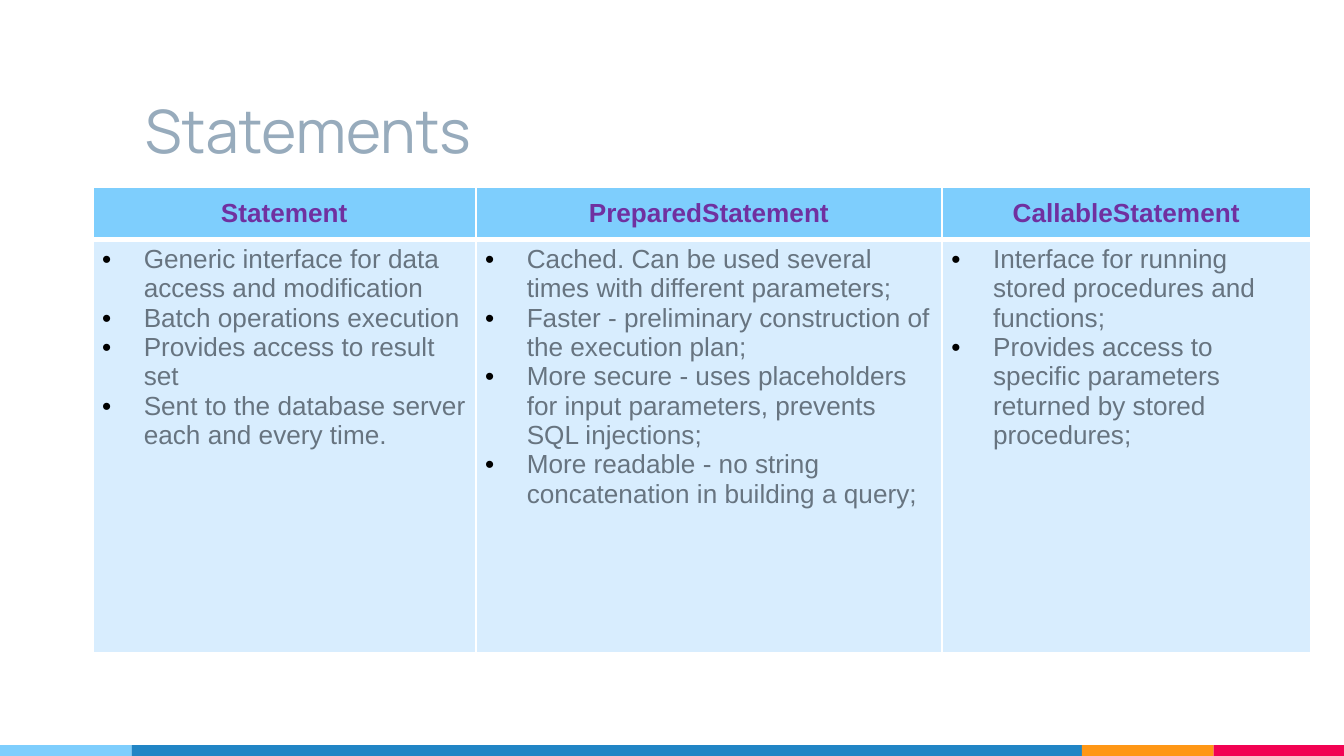
from dataclasses import dataclass

from lxml import etree
from pptx import Presentation
from pptx.dml.color import RGBColor
from pptx.enum.shapes import MSO_SHAPE
from pptx.enum.text import MSO_ANCHOR, PP_ALIGN
from pptx.oxml.ns import qn
from pptx.util import Inches, Pt

RECT = MSO_SHAPE.RECTANGLE
TOP, MIDDLE, BOTTOM = MSO_ANCHOR.TOP, MSO_ANCHOR.MIDDLE, MSO_ANCHOR.BOTTOM
CENTER = PP_ALIGN.CENTER

COLORS = {
    "sky": "7ECEFD", "blue": "2185C5", "orange": "FF9715", "red": "F20253",
    "title": "97ABBC", "header": "7030A0", "body": "677480",
    "pale": "D8EDFE", "white": "FFFFFF", "bullet": "000000",
}
TITLE = {"name": "Manrope", "size": Pt(32), "color": "title"}
HEADER = {"name": "Arial", "size": Pt(14), "bold": True, "color": "header"}
BODY = {"name": "Arial", "size": Pt(14), "bold": False, "color": "body"}
CELL_MARGINS = {"margin_left": Inches(0.07), "margin_right": Inches(0.07),
                "margin_top": Inches(0.04), "margin_bottom": Inches(0.04)}
INDENT = Inches(0.31)
SLIDE_WIDTH = Inches(10)
SLIDE_HEIGHT = SLIDE_WIDTH * 9 // 16


@dataclass
class Column:
    header: str
    width: float
    points: list[str]


@dataclass
class Band:
    width: float
    color: str


COLUMNS = [
    Column("Statement", 2.85, [
        "Generic interface for data access and modification",
        "Batch operations execution",
        "Provides access to result set",
        "Sent to the database server each and every time.",
    ]),
    Column("PreparedStatement", 3.47, [
        "Cached. Can be used several times with different parameters;",
        "Faster - preliminary construction of the execution plan;",
        "More secure - uses placeholders for input parameters, prevents SQL injections;",
        "More readable - no string concatenation in building a query;",
    ]),
    Column("CallableStatement", 2.74, [
        "Interface for running stored procedures and functions;",
        "Provides access to specific parameters returned by stored procedures;",
    ]),
]
ROW_HEIGHTS = [0.39, 3.08]
BANDS = [Band(0.98, "sky"), Band(7.07, "blue"), Band(0.98, "orange"), Band(0.97, "red")]


def rgb(key: str) -> RGBColor:
    return RGBColor.from_string(COLORS[key])


def add_run(p, text: str, style: dict) -> None:
    r = p.add_run()
    r.text = text
    for name, value in style.items():
        if name == "color":
            r.font.color.rgb = rgb(value)
        else:
            setattr(r.font, name, value)


def add_bullet(p) -> None:
    pPr = p._p.get_or_add_pPr()
    pPr.set("marL", str(INDENT))
    pPr.set("indent", str(-INDENT))
    color = etree.SubElement(pPr, qn("a:buClr"))
    etree.SubElement(color, qn("a:srgbClr"), val=COLORS["bullet"])
    etree.SubElement(pPr, qn("a:buFont"), typeface="Arial")
    etree.SubElement(pPr, qn("a:buChar"), char="•")


def style_cell(cell, fill: str, anchor, bottom: int) -> None:
    """Set margins, white borders (widths in points) and fill."""
    for name, value in CELL_MARGINS.items():
        setattr(cell, name, value)
    cell.vertical_anchor = anchor
    tcPr = cell._tc.get_or_add_tcPr()
    for side, width in {"L": 1, "R": 1, "T": 1, "B": bottom}.items():
        line = etree.SubElement(tcPr, qn(f"a:ln{side}"), w=str(Pt(width)))
        solid = etree.SubElement(line, qn("a:solidFill"))
        etree.SubElement(solid, qn("a:srgbClr"), val=COLORS["white"])
    cell.fill.solid()
    cell.fill.fore_color.rgb = rgb(fill)


def add_bands(s, bands: list[Band]) -> None:
    left = 0.0
    height = Inches(0.08)
    for band in bands:
        sp = s.shapes.add_shape(RECT, Inches(left), SLIDE_HEIGHT - height,
                                Inches(band.width), height)
        sp.shadow.inherit = False
        sp.fill.solid()
        sp.fill.fore_color.rgb = rgb(band.color)
        sp.line.fill.background()
        left += band.width


def add_title(s, text: str) -> None:
    sp = s.shapes.add_textbox(Inches(0.98), Inches(0.39), Inches(7.07), Inches(0.94))
    tf = sp.text_frame
    tf.word_wrap = True
    tf.vertical_anchor = BOTTOM
    for side in ("left", "top", "right", "bottom"):
        setattr(tf, f"margin_{side}", Inches(0.1))
    add_run(tf.paragraphs[0], text, TITLE)


def add_comparison(s, columns: list[Column]) -> None:
    width = sum(column.width for column in columns)
    table = s.shapes.add_table(len(ROW_HEIGHTS), len(columns), Inches(0.69), Inches(1.39),
                               Inches(width), Inches(sum(ROW_HEIGHTS))).table
    for row, height in zip(table.rows, ROW_HEIGHTS):
        row.height = Inches(height)
    for i, column in enumerate(columns):
        table.columns[i].width = Inches(column.width)
        head, body = table.cell(0, i), table.cell(1, i)
        style_cell(head, "sky", MIDDLE, bottom=3)
        p = head.text_frame.paragraphs[0]
        p.alignment = CENTER
        add_run(p, column.header, HEADER)

        style_cell(body, "pale", TOP, bottom=1)
        tf = body.text_frame
        for j, point in enumerate(column.points):
            p = tf.add_paragraph() if j else tf.paragraphs[0]
            add_bullet(p)
            add_run(p, point, BODY)


def main() -> None:
    prs = Presentation()
    prs.slide_width, prs.slide_height = SLIDE_WIDTH, SLIDE_HEIGHT
    s = prs.slides.add_slide(prs.slide_layouts[6])
    # Footer stripe
    add_bands(s, BANDS)
    # Heading and comparison table
    add_title(s, "Statements")
    add_comparison(s, COLUMNS)
    prs.save("out.pptx")


if __name__ == "__main__":
    main()
